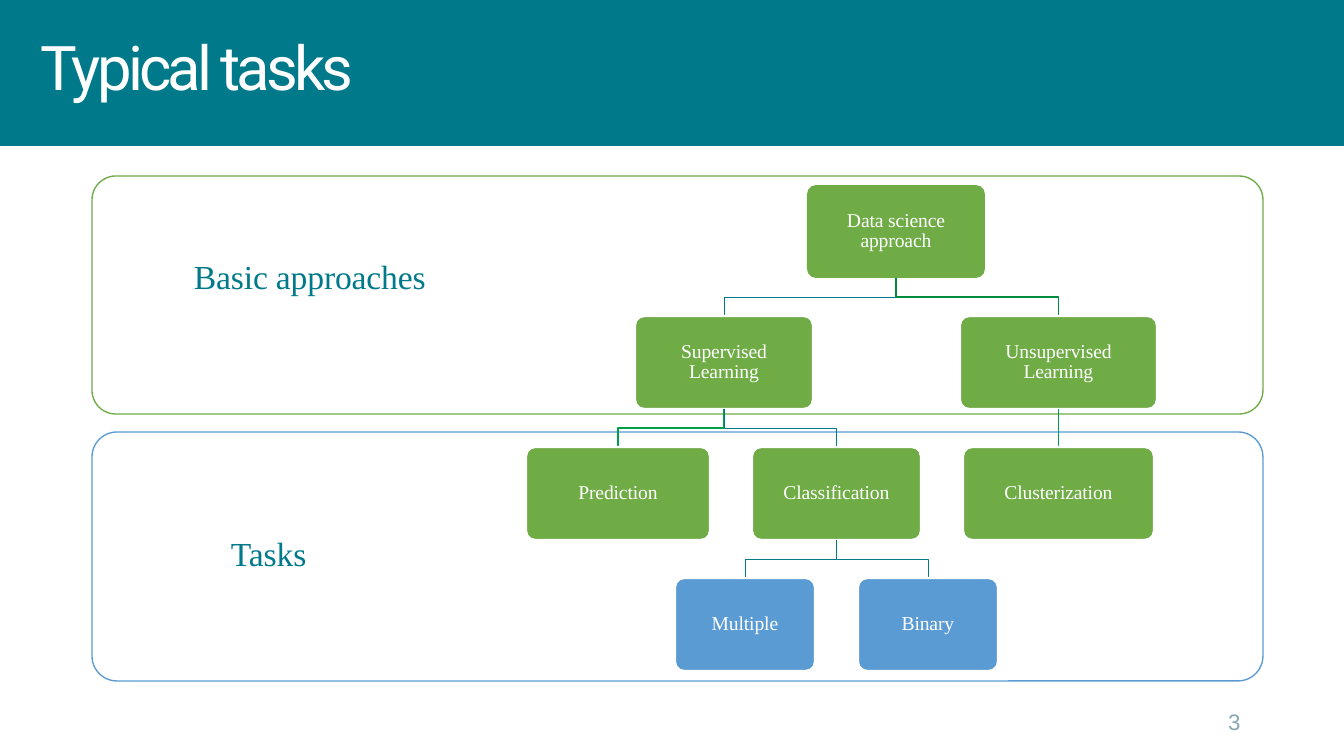
import dataclasses

import lxml.etree
import pptx
import pptx.dml.color
import pptx.enum.shapes
import pptx.enum.text
import pptx.oxml.ns
import pptx.util

SLIDE_WIDTH, SLIDE_HEIGHT = 1344, 756
EMU_PER_PX = 12192000 / SLIDE_WIDTH
SHAPES = pptx.enum.shapes.MSO_SHAPE
ALIGN = pptx.enum.text.PP_ALIGN
ANCHOR = pptx.enum.text.MSO_ANCHOR


@dataclasses.dataclass(frozen=True)
class Theme:
    teal: str = "007A8B"
    green: str = "6FAC46"
    blue: str = "5B9BD4"
    white: str = "FFFFFF"
    gray: str = "88A9B1"
    deep_green: str = "008B3D"
    bright_green: str = "009F47"
    serif: str = "Times New Roman"
    sans: str = "Arial"
    heading: str = "Roboto"
    title_size: int = 44
    label_size: int = 24
    node_size: int = 14
    number_size: int = 16
    thin: float = 0.48
    medium: float = 0.96
    border: float = 1.56


THEME = Theme()

NODES = [
    ("Data science approach", None, 0, 281, 178, THEME.green, None, None),
    ("Supervised Learning", "Data science approach", 1, 109, 178, THEME.green, THEME.teal, THEME.thin),
    ("Prediction", "Supervised Learning", 2, 0, 184, THEME.green, THEME.bright_green, THEME.medium),
    ("Classification", "Supervised Learning", 2, 226, 169, THEME.green, THEME.teal, THEME.thin),
    ("Multiple", "Classification", 3, 149, 140, THEME.blue, THEME.teal, THEME.thin),
    ("Binary", "Classification", 3, 332, 140, THEME.blue, THEME.teal, THEME.thin),
    ("Unsupervised Learning", "Data science approach", 1, 434, 197, THEME.green, THEME.deep_green, THEME.medium),
    ("Clusterization", "Unsupervised Learning", 2, 437, 191, THEME.green, THEME.bright_green, THEME.medium),
]


def px(length):
    return pptx.util.Emu(round(length * EMU_PER_PX))


def color(value):
    return pptx.dml.color.RGBColor.from_string(value)


def apply_format(target, values):
    for name, value in values.items():
        setattr(target, name, value)


def set_line(line, line_color, weight):
    line.color.rgb = color(line_color)
    line.width = pptx.util.Pt(weight)


def write_text(shape, text, font, size, text_color, align=ALIGN.LEFT,
               anchor=ANCHOR.MIDDLE, spacing=None, tracking=-0.1, inset=0):
    frame = shape.text_frame
    apply_format(frame, {
        "word_wrap": True, "vertical_anchor": anchor,
        "margin_left": px(inset), "margin_right": px(inset),
        "margin_top": 0, "margin_bottom": 0,
    })
    paragraph = frame.paragraphs[0]
    paragraph.alignment = align
    if spacing:
        paragraph.line_spacing = pptx.util.Pt(spacing)
    run = paragraph.add_run()
    run.text = text
    apply_format(run.font, {"name": font, "size": pptx.util.Pt(size)})
    run.font.color.rgb = color(text_color)
    run._r.get_or_add_rPr().set("spc", str(round(tracking * 100)))


def add_box(slide, preset, box, fill=None, line=None):
    shape = slide.shapes.add_shape(preset, *map(px, box))
    shape.shadow.inherit = False
    if fill:
        shape.fill.solid()
        shape.fill.fore_color.rgb = color(fill)
    else:
        shape.fill.background()
    if line:
        set_line(shape.line, *line)
    else:
        shape.line.fill.background()
    if preset == SHAPES.ROUNDED_RECTANGLE:
        shape.adjustments[0] = 0.1
    return shape


def add_label(slide, box, text, font, size, text_color, **options):
    label = slide.shapes.add_textbox(*map(px, box))
    write_text(label, text, font, size, text_color, **options)


def add_header(slide, box):
    left, top, width, height = box
    add_box(slide, SHAPES.RECTANGLE, box, fill=THEME.teal)
    add_label(slide, (left + 41, top + 33, 818, 73), "Typical tasks", THEME.heading,
              THEME.title_size, THEME.white, anchor=ANCHOR.TOP, spacing=50.2, tracking=-2.7)


def add_panel(slide, box, text, line_color, label_left, label_top):
    left, top, width, height = box
    add_box(slide, SHAPES.ROUNDED_RECTANGLE, box, line=(line_color, THEME.medium))
    add_label(slide, (left + label_left, top + label_top, 260, 40), text,
              THEME.serif, THEME.label_size, THEME.teal)


def add_elbow(slide, start, end, line_color, weight):
    middle = (start[1] + end[1]) / 2
    points = [start, (start[0], middle), (end[0], middle), end]
    first, *rest = [(px(x), px(y)) for x, y in points]
    builder = slide.shapes.build_freeform(*first, scale=1.0)
    builder.add_line_segments(rest, close=False)
    elbow = builder.convert_to_shape()
    elbow.shadow.inherit = False
    elbow.fill.background()
    set_line(elbow.line, line_color, weight)


def add_straight(slide, start, end, line_color, weight):
    connector = slide.shapes.add_connector(
        pptx.enum.shapes.MSO_CONNECTOR.STRAIGHT, *map(px, (*start, *end)))
    set_line(connector.line, line_color, weight)
    lxml.etree.SubElement(connector._element.spPr, pptx.oxml.ns.qn("a:effectLst"))
    return connector


def add_tree(slide, box, node_height=93):
    tree_left, tree_top, tree_width, tree_height = box
    row_pitch = (tree_height - node_height) / 3
    placed = {}
    for text, parent, row, left, width, fill, edge_color, weight in NODES:
        x, y = tree_left + left, tree_top + row * row_pitch
        center = x + width / 2
        connector = None
        if parent:
            parent_shape, parent_center, parent_bottom = placed[parent]
            start, end = (parent_center, parent_bottom), (center, y)
            if parent_center == center:
                connector = add_straight(slide, start, end, edge_color, weight)
            else:
                add_elbow(slide, start, end, edge_color, weight)
        border = (THEME.white, THEME.border) if parent else None
        node = add_box(slide, SHAPES.ROUNDED_RECTANGLE, (x, y, width, node_height), fill, border)
        write_text(node, text, THEME.serif, THEME.node_size, THEME.white,
                   align=ALIGN.CENTER, spacing=14.4, inset=26)
        if connector:
            connector.begin_connect(parent_shape, 2)
            connector.end_connect(node, 0)
        placed[text] = (node, center, y + node_height)


def add_page_number(slide, box):
    add_label(slide, box, "3", THEME.sans, THEME.number_size, THEME.gray, tracking=0.5)


def main():
    presentation = pptx.Presentation()
    apply_format(presentation, {"slide_width": px(SLIDE_WIDTH), "slide_height": px(SLIDE_HEIGHT)})
    slide = presentation.slides.add_slide(presentation.slide_layouts[6])
    add_header(slide, (0, 0, SLIDE_WIDTH, 146))
    add_panel(slide, (92, 432, 1171, 249), "Tasks", THEME.blue, 139, 101)
    add_panel(slide, (92, 176, 1171, 238), "Basic approaches", THEME.green, 102, 80)
    add_tree(slide, (526, 185, 631, 486))
    add_page_number(slide, (1228, 708, 24, 28))
    presentation.save("out.pptx")


if __name__ == "__main__":
    main()
